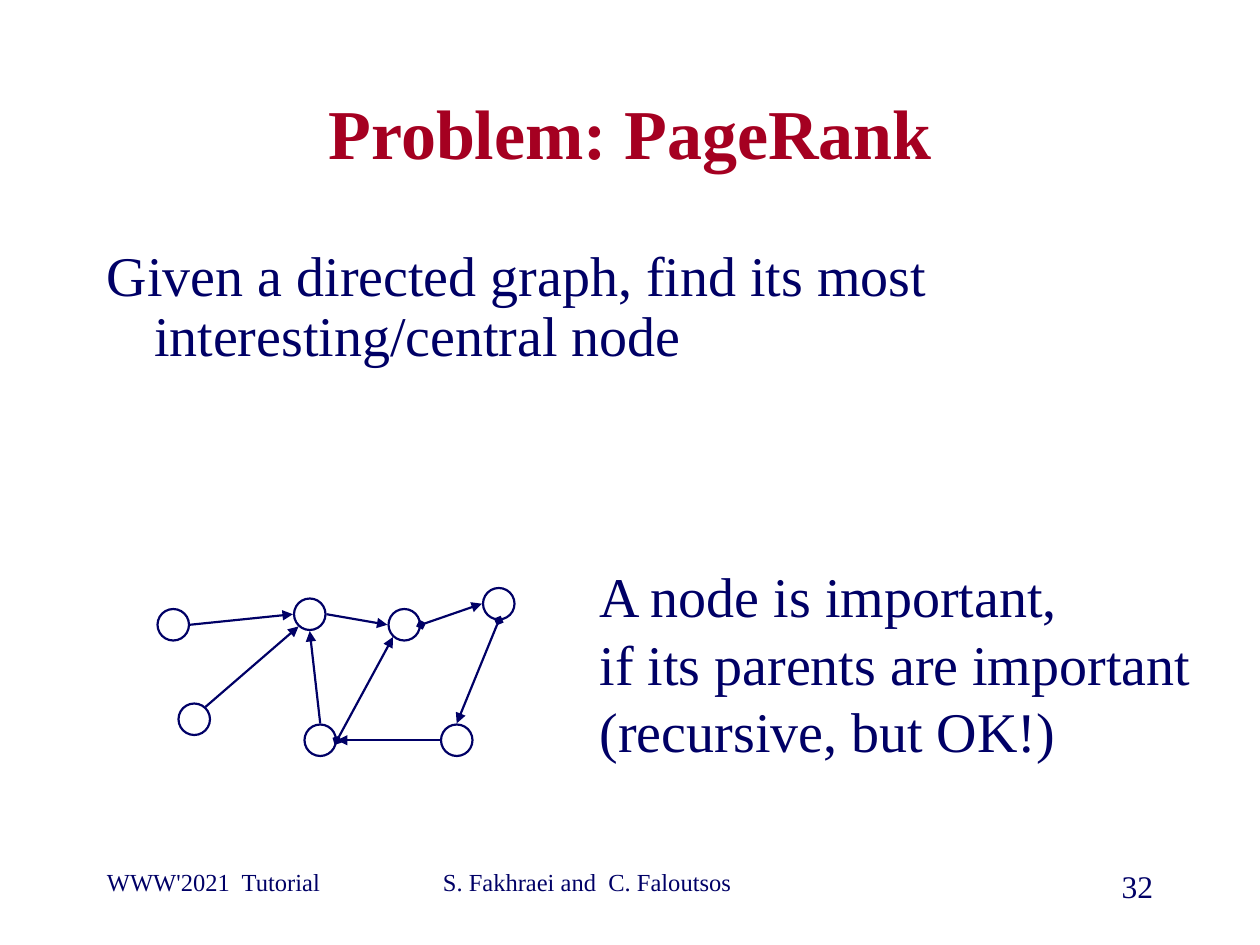
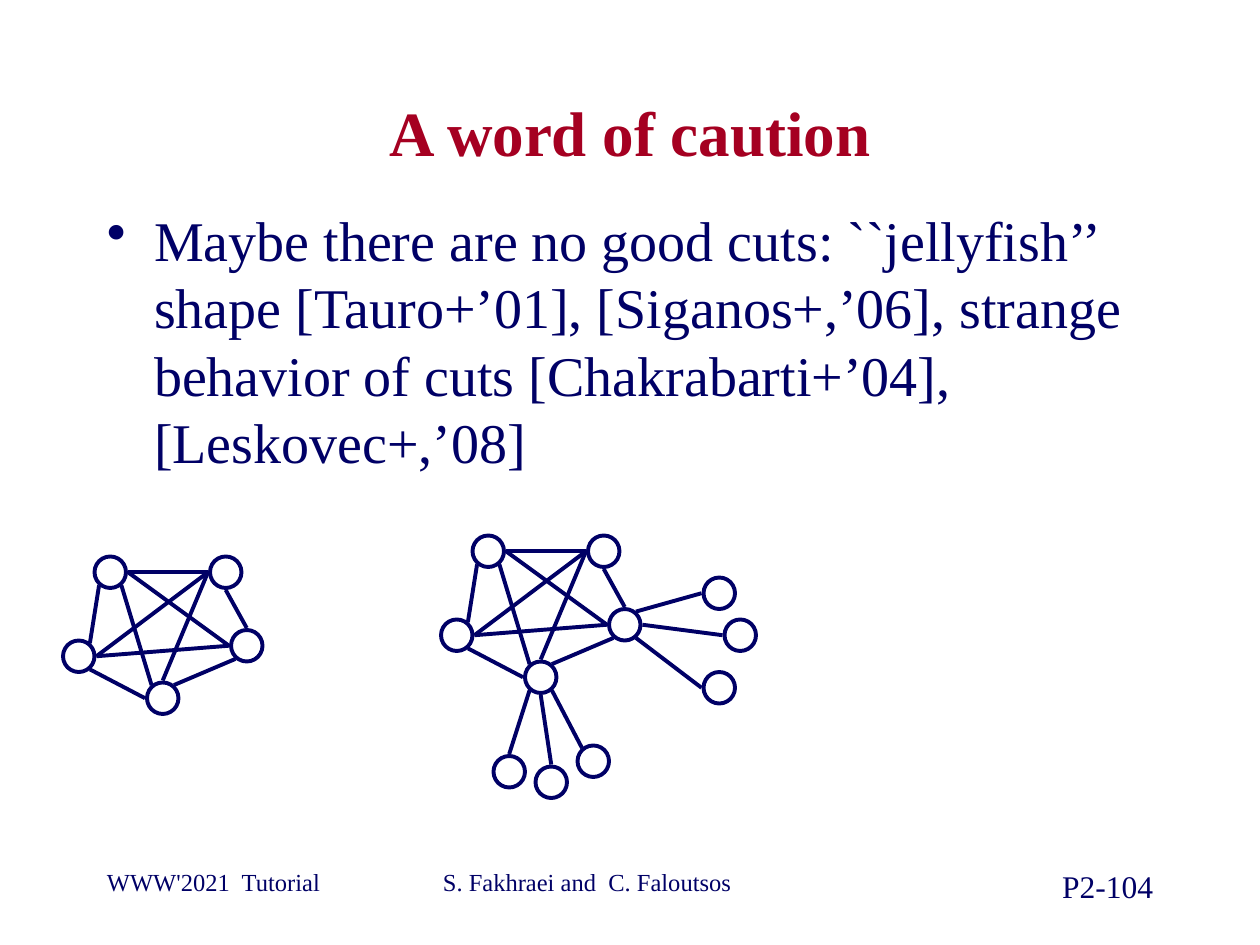
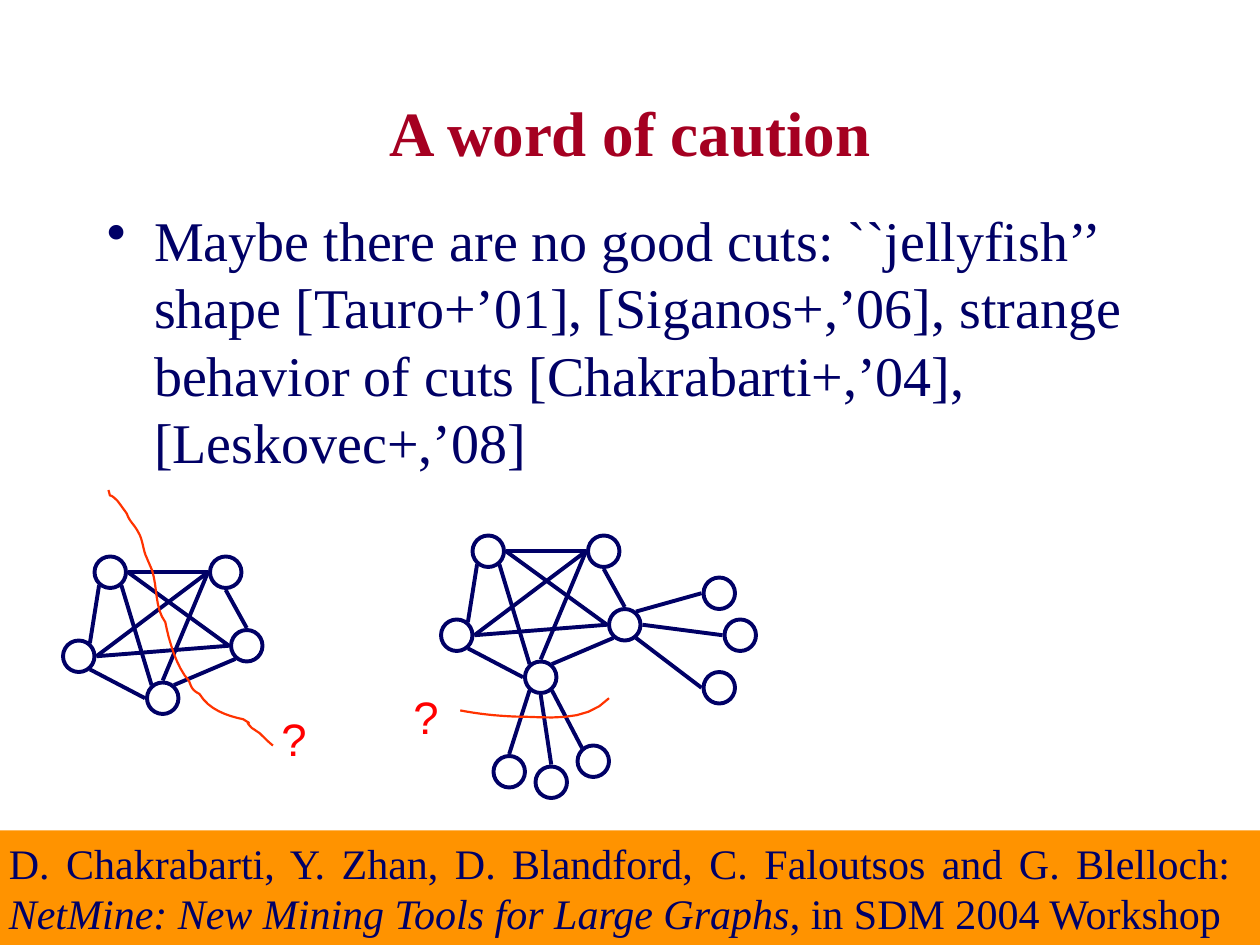
from pptx import Presentation
from pptx.dml.color import RGBColor
from pptx.enum.shapes import MSO_CONNECTOR as Link, MSO_SHAPE as Form
from pptx.enum.text import MSO_ANCHOR as Anchor, PP_ALIGN as Align
from pptx.oxml.ns import qn
from pptx.util import Pt
from lxml.etree import SubElement

NAVY = RGBColor(0x00, 0x00, 0x66)
WINE = RGBColor(0xA5, 0x00, 0x21)
FLAME = RGBColor(0xFF, 0x33, 0x00)
RED = RGBColor(0xFF, 0x00, 0x00)
AMBER = RGBColor(0xFF, 0x93, 0x00)
SERIF, SANS = "Times New Roman", "Arial"

EVENT = "WWW'2021  Tutorial"
AUTHORS = "S. Fakhraei and  C. Faloutsos"
TASK = "Given a directed graph, find its most interesting/central node"
HINT = ["A node is important,", "if its parents are important", "(recursive, but OK!)"]
CUTS = ("Maybe there are no good cuts: ``jellyfish’’ shape [Tauro+’01], [Siganos+,’06], "
        "strange behavior of cuts [Chakrabarti{}’04], [Leskovec+,’08]")
PAPER = [("D. Chakrabarti, Y. Zhan, D. Blandford, C. Faloutsos and G. Blelloch:  ", False),
         ("NetMine: New Mining Tools for Large Graphs", True),
         (", in SDM 2004 Workshop", False)]

# Nodes: name -> top left corner. Edges: (node, side, node, side, extras).
DISC = 18
WEB = dict(p=(102, 402), q=(222, 348), r=(168, 342), s=(252, 414),
           t=(276, 336), u=(174, 414), v=(90, 348))
WEB_EDGES = [("r", "E", "q", "W"), ("u", "E", "q", "SW", "diamond"), ("s", "W", "u", "E"),
             ("q", "E", "t", "W", "diamond"), ("v", "E", "r", "W"), ("p", "NE", "r", "SW"),
             ("u", "N", "r", "S"), ("t", "S", "s", "N", "diamond")]
CORE = dict(a=(54, 318), b=(120, 318), c=(132, 360), d=(84, 390), e=(36, 366))
CORE_EDGES = [("a", "E", "b", "W"), ("a", "SW", "e", "NE"), ("a", "SE", "d", "NW"),
              ("a", "E", "c", "W"), ("b", "S", "c", "N"), ("b", "W", "d", "N"),
              ("e", "SE", "d", "W"), ("d", "NE", "c", "SW"), ("e", "E", "c", "W"),
              ("b", "W", "e", "E")]
SHIFT = (216, -12)
ARMS = dict(f=(282, 432), g=(306, 438), h=(330, 426),
            i=(402, 330), j=(402, 384), k=(414, 354))
ARM_EDGES = [("d", "SW", "f", "N"), ("d", "S", "g", "N"), ("d", "SE", "h", "NW"),
             ("c", "SE", "j", "W"), ("c", "E", "k", "W"), ("c", "NE", "i", "W")]
JELLY = {n: (x + SHIFT[0], y + SHIFT[1]) for n, (x, y) in CORE.items()} | ARMS

# Cuts: a start point, then Bezier triples.
LONG_CUT = [(62, 280), (64, 286.5), (61, 280), (67, 286), (69, 288.5), (72.5, 293.5),
            (72.5, 293.5), (74, 298), (77, 300), (79, 304), (82, 309), (81.5, 314),
            (84, 319), (85.5, 322.5), (85.5, 322.5), (87, 326), (90, 335.5), (88.5, 347.5),
            (94.5, 355.5), (96.5, 366), (101, 381.5), (108, 389), (109.5, 393), (110, 394.5),
            (114, 396.5), (119.5, 405.5), (129.5, 409), (139, 411), (147, 416), (137.5, 409.5),
            (144, 416), (145.5, 417), (147, 418), (148.5, 419), (151, 421.5), (153.5, 424),
            (156, 426)]
SHORT_CUT = [(263, 406), (273.5, 408), (283, 409), (294, 409.5),
             (312.5, 409.5), (334, 413.5), (348, 399)]


def style(par, size, color=NAVY, font=SERIF, align=Align.LEFT):
    par.alignment = align
    par.font.size, par.font.name = Pt(size), font
    par.font.color.rgb = color


def write(slide, box, lines, size, wrap=True, **look):
    frame = slide.shapes.add_textbox(*map(Pt, box)).text_frame
    frame.word_wrap = wrap
    frame.text = "\n".join(lines)
    for par in frame.paragraphs:
        style(par, size, **look)
    return frame


def title(slide, text, size):
    frame = write(slide, (54, 48, 612, 54), [text], size, color=WINE, align=Align.CENTER)
    frame.vertical_anchor = Anchor.MIDDLE
    frame.paragraphs[0].font.bold = True


def body(slide, top, high, text, bullet=True):
    par = write(slide, (54, top, 612, high), [text], 32).paragraphs[0]
    par.space_before = Pt(6.4)
    props = par._p.get_or_add_pPr()
    props.set("marL", str(Pt(27)))
    props.set("indent", str(-Pt(27)))
    if bullet:
        SubElement(props, qn("a:buChar"), char="•")
    return par


def footer(slide, page):
    write(slide, (54, 492, 150, 36), [EVENT], 14)
    write(slide, (246, 492, 228, 36), [AUTHORS], 14)
    write(slide, (516, 492, 150, 36), [page], 18, align=Align.RIGHT)


def port(node, side, wide):
    """Point just outside a node's ring, on the given compass side."""
    dx = ("E" in side) - ("W" in side)
    dy = ("S" in side) - ("N" in side)
    half, gap = DISC / 2, wide / 2
    if dx and dy:
        step = half * 0.71
        move = dx * step, dy * (step + gap)
    else:
        move = dx * (half + gap), dy * (half + gap)
    return [Pt(at + half + off) for at, off in zip(node, move)]


def graph(slide, nodes, edges, wide, arrows=False):
    shapes = slide.shapes.add_group_shape().shapes
    for spot in nodes.values():
        ring = shapes.add_shape(Form.OVAL, *map(Pt, (*spot, DISC, DISC)))
        ring.shadow.inherit = False
        ring.fill.background()
        ring.line.color.rgb, ring.line.width = NAVY, Pt(wide)
    for start, out, end, into, *head in edges:
        line = shapes.add_connector(Link.STRAIGHT, *port(nodes[start], out, wide),
                                    *port(nodes[end], into, wide))
        line.line.color.rgb, line.line.width = NAVY, Pt(wide)
        SubElement(line._element.spPr, qn("a:effectLst"))
        if arrows:
            ln = line.line._get_or_add_ln()
            for kind in head:
                SubElement(ln, qn("a:headEnd"), type=kind)
            SubElement(ln, qn("a:tailEnd"), type="triangle")


def bend(points, steps=8):
    """Sample a chain of Bezier curves."""
    for n in range(0, len(points) - 1, 3):
        quad = points[n:n + 4]
        for k in range(1, steps + 1):
            t = k / steps
            mix = (1 - t) ** 3, 3 * t * (1 - t) ** 2, 3 * t * t * (1 - t), t ** 3
            yield tuple(Pt(sum(m * q[axis] for m, q in zip(mix, quad))) for axis in (0, 1))


def cut(slide, points, mark):
    pen = slide.shapes.build_freeform(*map(Pt, points[0]))
    pen.add_line_segments(bend(points), close=False)
    curve = pen.convert_to_shape()
    curve.shadow.inherit = False
    curve.fill.background()
    curve.line.color.rgb, curve.line.width = FLAME, Pt(1.25)
    write(slide, (*mark, 29, 38), ["?"], 26, wrap=False, color=RED, font=SANS,
          align=Align.CENTER)


def source(slide):
    bar = slide.shapes.add_shape(Form.RECTANGLE, *map(Pt, (-2, 474.5, 722, 65.5)))
    bar.shadow.inherit = False
    bar.fill.solid()
    bar.fill.fore_color.rgb = AMBER
    bar.line.fill.background()
    par = bar.text_frame.paragraphs[0]
    style(par, 24, align=Align.JUSTIFY)
    for text, slant in PAPER:
        run = par.add_run()
        run.text, run.font.italic = text, slant


def caution(slide, plus):
    title(slide, "A word of caution", 36)
    body(slide, 114, 366, CUTS.format(plus))
    graph(slide, CORE, CORE_EDGES, 2.25)
    graph(slide, JELLY, CORE_EDGES + ARM_EDGES, 2.25)


def main():
    deck = Presentation()
    deck.slide_width, deck.slide_height = Pt(720), Pt(540)
    rank, plain, asked = (deck.slides.add_slide(deck.slide_layouts[6]) for _ in range(3))

    footer(rank, "32")
    title(rank, "Problem: PageRank", 40)
    body(rank, 138, 324, TASK, bullet=False).line_spacing = 0.9
    write(rank, (335.5, 317.5, 358, 124), HINT, 32)
    graph(rank, WEB, WEB_EDGES, 1.25, arrows=True)

    footer(plain, "P2-104")
    caution(plain, "+")

    caution(asked, "+,")
    cut(asked, LONG_CUT, (153.5, 403))
    cut(asked, SHORT_CUT, (229, 390))
    source(asked)
    deck.save("out.pptx")


if __name__ == "__main__":
    main()
